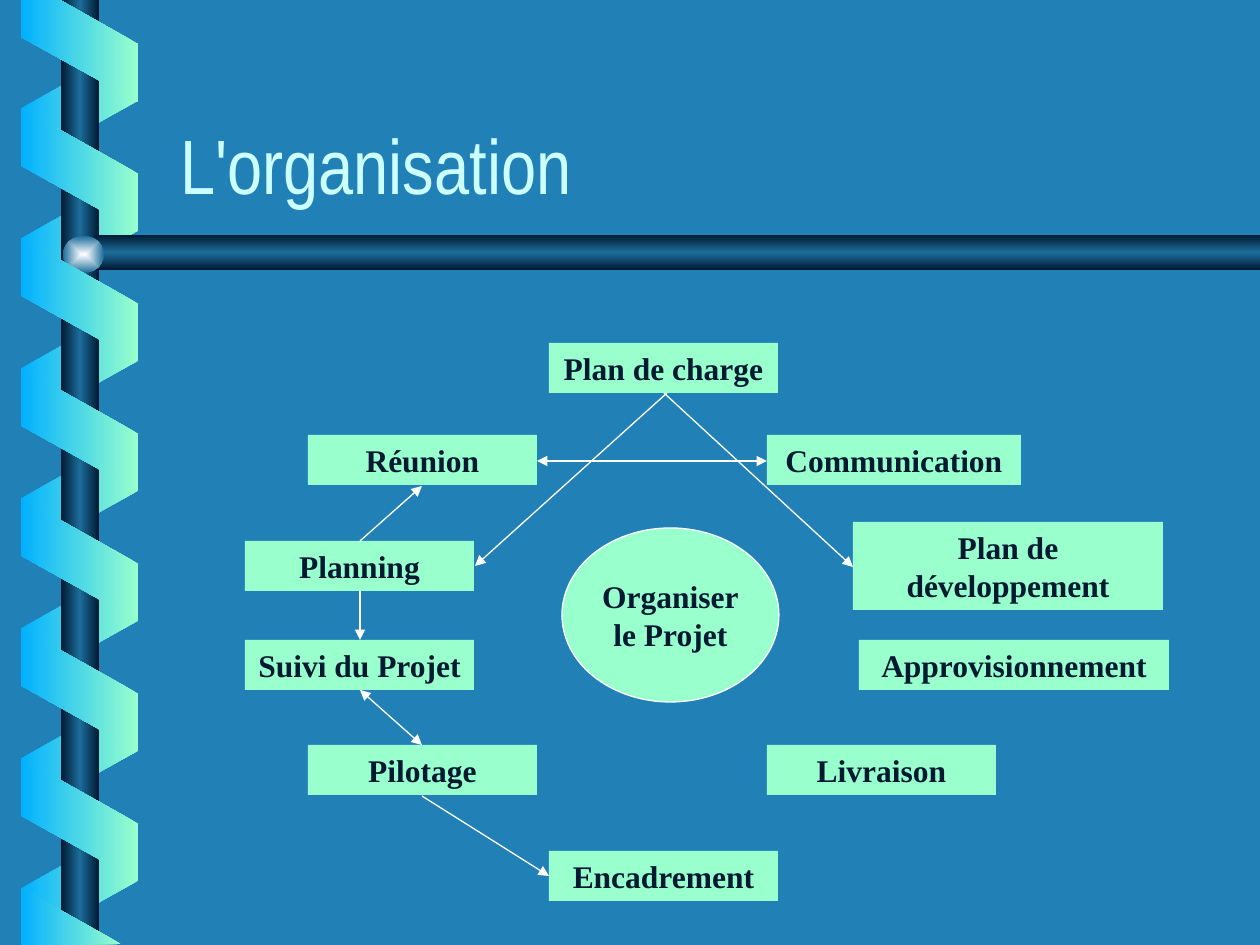
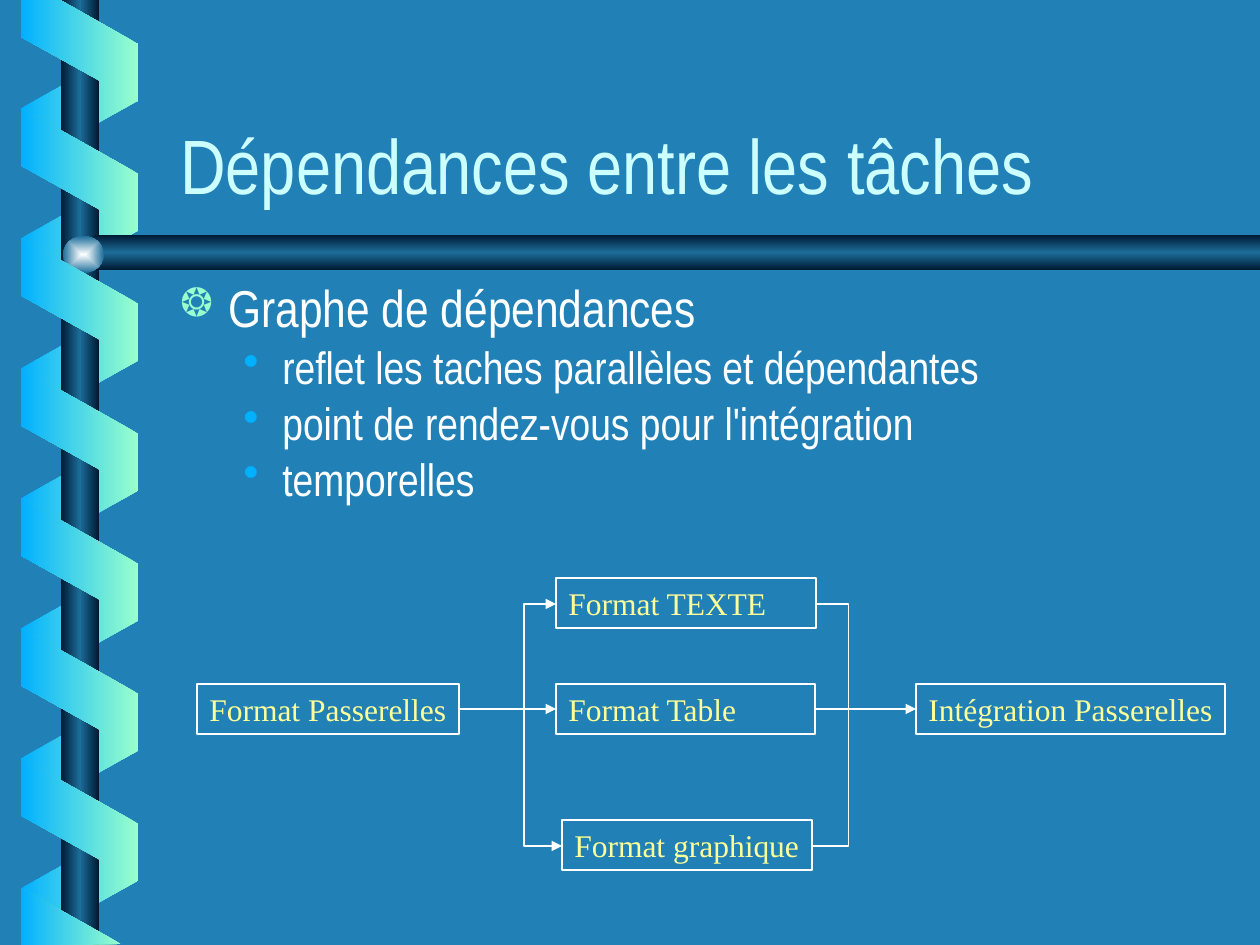
from lxml.etree import SubElement
from pptx import Presentation
from pptx.dml.color import RGBColor
from pptx.enum.shapes import MSO_CONNECTOR, MSO_SHAPE
from pptx.enum.text import MSO_ANCHOR, PP_ALIGN
from pptx.oxml import parse_xml
from pptx.oxml.ns import nsdecls, qn
from pptx.util import Emu, Pt

SCALE = 914400 / 126
WIDE, HIGH = 1260, 945
COLORS = {
    "back": "2181B7", "sky": "01B0FF", "mint": "99FFCC", "navy": "001932",
    "steel": "1C6D9A", "pearl": "FEFFFF", "title": "CCFFFF",
    "white": "FFFFFF", "cream": "FFFF99",
}
SANS, SERIF = "Arial Narrow", "Times New Roman"
TUBE = ("navy", "steel", "navy")
STEP = 130


def px(*nums):
    return [Emu(round(n * SCALE)) for n in nums]


def rgb(name):
    return RGBColor.from_string(COLORS[name])


class Deck:
    """Holds the shared style and the slide being drawn."""

    def __init__(self):
        self.prs = Presentation()
        self.prs.slide_width, self.prs.slide_height = px(WIDE, HIGH)
        self.slide = None

    def start(self, title):
        self.slide = self.prs.slides.add_slide(self.prs.slide_layouts[6])
        fill = self.slide.background.fill
        fill.solid()
        fill.fore_color.rgb = rgb("back")
        self.spiral()
        frame = self.text((168, 58, 1071, 158))
        frame.vertical_anchor = MSO_ANCHOR.BOTTOM
        frame.text = title
        self.style(frame.paragraphs[0], 44, SANS, "title")

    def spiral(self):
        for i in range(7):
            self.turn(46 + STEP * i, 90, ("sky", "mint"))
        pole = self.shape(MSO_SHAPE.RECTANGLE, (61, 0, 38, HIGH))
        self.blend(pole, TUBE, 180)
        self.outline([(WIDE, 235), (96, 235), (76, 252), (96, 270), (WIDE, 270)], TUBE, 90)
        ball = self.shape(MSO_SHAPE.OVAL, (63, 236, 41, 37))
        self.blend(ball, ("pearl", "steel"))
        front = ("mint", "sky")
        for i in range(6):
            self.turn(111 + STEP * i, 270, front)
        self.outline([(21, 0), (21, 37), (138, 102), (138, 44), (60, 0)], front, 180)
        self.outline([(121, 944), (21, 888), (21, HIGH)], front, 180)

    def turn(self, top, angle, hues):
        """One ribbon turn; those at 90 degrees are mirrored and lie behind."""
        band = self.shape(MSO_SHAPE.PARALLELOGRAM, (18, top, 123, 117))
        band.adjustments[0] = 0.56
        band.rotation = angle
        if angle == 90:
            band._element.spPr.find(qn("a:xfrm")).set("flipH", "1")
        self.blend(band, hues, 180)

    def blend(self, shape, hues, angle=None):
        """Gradient fill with evenly spaced stops; no angle means from the centre."""
        stops = "".join(
            f'<a:gs pos="{100000 * i // (len(hues) - 1)}"><a:srgbClr val="{COLORS[hue]}"/></a:gs>'
            for i, hue in enumerate(hues))
        if angle is None:
            way = ('<a:path path="rect"><a:fillToRect l="50000" t="50000" '
                   'r="50000" b="50000"/></a:path>')
        else:
            way = f'<a:lin ang="{angle * 60000}" scaled="0"/>'
        grad = parse_xml(f'<a:gradFill {nsdecls("a")} rotWithShape="0">'
                         f'<a:gsLst>{stops}</a:gsLst>{way}</a:gradFill>')
        props = shape._element.spPr
        props.replace(props.find(qn("a:noFill")), grad)

    def plain(self, shape):
        shape.shadow.inherit = False
        shape.fill.background()
        shape.line.fill.background()
        return shape

    def shape(self, kind, area):
        return self.plain(self.slide.shapes.add_shape(kind, *px(*area)))

    def outline(self, points, hues, angle):
        pen = self.slide.shapes.build_freeform(*points[0], scale=SCALE)
        pen.add_line_segments(points[1:], close=True)
        self.blend(self.plain(pen.convert_to_shape()), hues, angle)

    def text(self, area):
        frame = self.slide.shapes.add_textbox(*px(*area)).text_frame
        frame.word_wrap = True
        return frame

    def style(self, para, size, face, hue, bold=False):
        for run in para.runs:
            font = run.font
            font.size, font.name, font.bold = Pt(size), face, bold
            font.color.rgb = rgb(hue)

    def label(self, words, area, kind=MSO_SHAPE.RECTANGLE, fill=None, line=None):
        """Filled labels are bold, dark and centred; hollow ones are cream."""
        box = self.shape(kind, area)
        if fill:
            box.fill.solid()
            box.fill.fore_color.rgb = rgb(fill)
        if line:
            box.line.color.rgb = rgb(line)
            box.line.width = Pt(0.75)
        frame = box.text_frame
        oval = kind == MSO_SHAPE.OVAL
        frame.word_wrap = not oval
        frame.vertical_anchor = MSO_ANCHOR.MIDDLE if oval else MSO_ANCHOR.TOP
        frame.text = words
        if not fill:
            frame.margin_right = 0
        for para in frame.paragraphs:
            para.alignment = PP_ALIGN.CENTER if fill else PP_ALIGN.LEFT
            self.style(para, 18, SERIF, "navy" if fill else "cream", bool(fill))

    def link(self, start, end, ends=("tail",), via=None):
        """Straight line, or an elbow whose upright runs at x = via."""
        kind = MSO_CONNECTOR.STRAIGHT if via is None else MSO_CONNECTOR.ELBOW
        wire = self.slide.shapes.add_connector(kind, *px(*start, *end))
        wire.line.color.rgb = rgb("white")
        wire.line.width = Pt(0.75)
        props = wire._element.spPr
        if via is not None:
            ratio = round((via - start[0]) / (end[0] - start[0]) * 100000)
            guides = props.find(qn("a:prstGeom")).get_or_add_avLst()
            SubElement(guides, qn("a:gd"), name="adj1", fmla=f"val {ratio}")
        for name in ends:
            SubElement(props.find(qn("a:ln")), qn(f"a:{name}End"), type="triangle")
        SubElement(props, qn("a:effectLst"))

    def points(self, items, area):
        """Bulleted list of (level, words)."""
        looks = [(48, 48, "❂", "mint", 75, 29.6, 8), (102, 39, "•", "sky", 100, 25.9, 7)]
        frame = self.text(area)
        frame.text = "\n".join(words for _, words in items)
        for i, (para, (level, _)) in enumerate(zip(frame.paragraphs, items)):
            left, hang, sign, hue, share, size, gap = looks[level]
            para.level = level
            props = para._p.get_or_add_pPr()
            props.set("marL", str(px(left)[0]))
            props.set("indent", str(px(-hang)[0]))
            SubElement(SubElement(props, qn("a:buClr")), qn("a:srgbClr"), val=COLORS[hue])
            SubElement(props, qn("a:buSzPct"), val=str(share * 1000))
            SubElement(props, qn("a:buChar"), char=sign)
            para.line_spacing = 0.8
            if i:
                para.space_before = Pt(gap)
            self.style(para, size, SANS, "white")


def plan(deck):
    deck.start("L'organisation")
    deck.label("Organiser\nle Projet", (562, 528, 217, 174), MSO_SHAPE.OVAL, "mint", "white")
    tasks = [
        ("Pilotage", 308, 745, 229), ("Réunion", 308, 435, 229),
        ("Planning", 245, 541, 229), ("Suivi du Projet", 245, 640, 229),
        ("Livraison", 767, 745, 229), ("Approvisionnement", 859, 640, 310),
        ("Communication", 767, 435, 254), ("Plan de charge", 549, 343, 229),
        ("Encadrement", 549, 851, 229),
    ]
    for words, left, top, wide in tasks:
        deck.label(words, (left, top, wide, 50), fill="mint")
    deck.label("Plan de développement", (853, 522, 310, 88), fill="mint")
    both = ("head", "tail")
    deck.link((664, 393), (853, 567))
    deck.link((667, 393), (475, 566))
    deck.link((360, 591), (360, 640))
    deck.link((360, 690), (422, 745), both)
    deck.link((360, 541), (422, 486))
    deck.link((537, 461), (767, 461), both)
    deck.link((422, 796), (549, 876))


def graph(deck):
    deck.start("Dépendances entre les tâches")
    deck.points([
        (0, "Graphe de dépendances"),
        (1, "reflet les taches parallèles et dépendantes"),
        (1, "point de rendez-vous pour l'intégration"),
        (1, "temporelles"),
    ], (168, 282, 1071, 284))
    steps = [
        ("Format Passerelles", 197, 684, 262), ("Format graphique", 562, 820, 250),
        ("Format Table", 556, 684, 259), ("Format TEXTE", 556, 578, 260),
        ("Intégration Passerelles", 916, 684, 309),
    ]
    for words, left, top, wide in steps:
        deck.label(words, (left, top, wide, 50), line="white")
    deck.link((460, 709), (556, 709))
    deck.link((816, 709), (916, 709))
    deck.link((556, 604), (562, 846), ("head", "tail"), via=524)
    deck.link((816, 604), (813, 846), (), via=849)


def main():
    deck = Deck()
    plan(deck)
    graph(deck)
    deck.prs.save("out.pptx")


if __name__ == "__main__":
    main()
